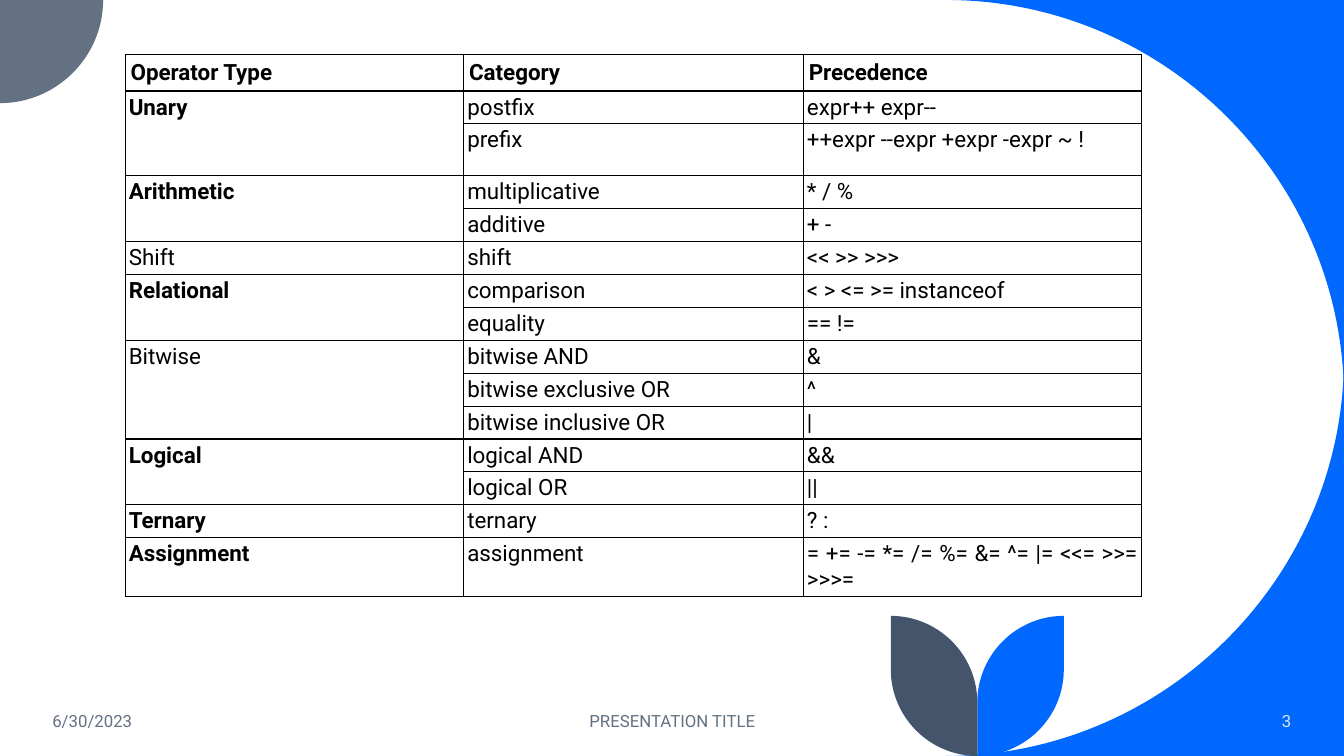
from dataclasses import dataclass

import lxml.etree
import pptx
import pptx.util
from pptx.dml.color import RGBColor
from pptx.enum.text import MSO_ANCHOR, PP_ALIGN
from pptx.oxml.ns import qn
from pptx.util import Cm


@dataclass(frozen=True)
class Theme:
    font: str = "Roboto"
    table_size: int = 16
    footer_size: int = 12
    ink: str = "000000"
    blue: str = "0068FF"
    slate: str = "637183"
    navy: str = "44546A"
    pale: str = "DAE5EF"


T = Theme()

# Content: operator type, bold or not, its (category, operators) rows
HEADER = ("Operator Type", "Category", "Precedence")
OPERATORS = [
    ("Unary", True, [
        ("postfix", "expr++\u00a0expr--"),
        ("prefix", "++expr\u00a0--expr\u00a0+expr\u00a0-expr\u00a0~ !")]),
    ("Arithmetic", True, [("multiplicative", "* / %"), ("additive", "+ -")]),
    ("Shift", False, [("shift", "<< >> >>>")]),
    ("Relational", True, [
        ("comparison", "< > <= >= instanceof"), ("equality", "== !=")]),
    ("Bitwise", False, [
        ("bitwise AND", "&"), ("bitwise exclusive OR", "^"),
        ("bitwise inclusive OR", "|")]),
    ("Logical", True, [("logical AND", "&&"), ("logical OR", "||")]),
    ("Ternary", True, [("ternary", "? :")]),
    ("Assignment", True, [
        ("assignment", "= += -= *= /= %= &= ^= |= <<= >>= >>>=")]),
]
# Footer: text, left, width, alignment, colour
FOOTER = [
    ("6/30/2023", 1.07, 7.62, PP_ALIGN.LEFT, T.slate),
    ("PRESENTATION TITLE", 11.23, 11.43, PP_ALIGN.CENTER, T.slate),
    ("3", 28.19, 4.6, PP_ALIGN.RIGHT, T.pale),
]

# Layout in centimetres, cell insets in points
W, H = 33.87, 19.05
COLUMNS = (8.53, 8.56, 8.51)
HEADER_H, ROW_H, TALL_H = 0.89, 0.76, 1.31
TALL_ROWS = {"prefix", "assignment"}
HEADER_INSET, BODY_INSET = 3.75, 2.46

prs = pptx.Presentation()
prs.slide_width, prs.slide_height = Cm(W), Cm(H)
s = prs.slides.add_slide(prs.slide_layouts[6])


def rounded(start, corner, end):
    """Two control points of a quarter ellipse, then its end point."""
    k = 0.55
    controls = [tuple(a + k * (c - a) for a, c in zip(p, corner))
                for p in (start, end)]
    return controls + [end]


def outline(start, steps, color):
    """Closed outline; a step is an end point or a (corner, end) curve."""
    points, curves, here = [], [], start
    for step in steps:
        if isinstance(step[0], tuple):
            curves.append(len(points))
            points += rounded(here, *step)
            here = step[1]
        else:
            points.append(step)
            here = step
    fb = s.shapes.build_freeform(Cm(start[0]), Cm(start[1]))
    fb.add_line_segments([(Cm(x), Cm(y)) for x, y in points], close=True)
    sp = fb.convert_to_shape()
    # Join each curve's three points into one Bezier segment
    lines = list(sp._element.iter(qn("a:lnTo")))
    for i in curves:
        bezier = lxml.etree.Element(qn("a:cubicBezTo"))
        lines[i].addprevious(bezier)
        for line in lines[i:i + 3]:
            bezier.append(line[0])
            line.getparent().remove(line)
    sp.shadow.inherit = False
    sp.fill.solid()
    sp.fill.fore_color.rgb = RGBColor.from_string(color)
    sp.line.fill.background()


def write(tf, text, size, color, align=None, bold=False):
    p = tf.paragraphs[0]
    p.alignment = align
    r = p.add_run()
    r.text = text
    r.font.name, r.font.size, r.font.bold = T.font, pptx.util.Pt(size), bold
    r.font.color.rgb = RGBColor.from_string(color)


# Corner decorations
R, CORNER_R = 10.03, 2.6
outline((W, 0), [(W - R, 0), ((W, 0), (W, R))], T.blue)
outline((W, H - R), [((W, H), (W - R, H)), (W, H)], T.blue)
outline((0, 0), [(CORNER_R, 0), ((CORNER_R, CORNER_R), (0, CORNER_R))],
        T.slate)

# Pair of leaves, mirrored about their shared stem
STEM, LEAF_W, LEAF_H = 24.63, 2.18, 3.53
leaf_top = H - LEAF_H
for side, color in ((LEAF_W, T.blue), (-LEAF_W, T.navy)):
    tip = STEM + side
    outline((tip, leaf_top),
            [(tip, H - LEAF_W), ((tip, H), (STEM, H)),
             (STEM, leaf_top + LEAF_W),
             ((STEM, leaf_top), (tip, leaf_top))], color)

# Operator table
rows = [pair for _, _, pairs in OPERATORS for pair in pairs]
heights = [HEADER_H] + [TALL_H if c in TALL_ROWS else ROW_H for c, _ in rows]
table = s.shapes.add_table(len(heights), len(COLUMNS), Cm(3.16), Cm(1.37),
                           Cm(sum(COLUMNS)), Cm(sum(heights))).table
table.first_row = table.horz_banding = False
for col, width in zip(table.columns, COLUMNS):
    col.width = Cm(width)
for row, height in zip(table.rows, heights):
    row.height = Cm(height)


def style(cell, inset):
    cell.margin_left = cell.margin_right = pptx.util.Pt(inset)
    cell.margin_top = cell.margin_bottom = pptx.util.Pt(inset)
    tcPr = cell._tc.get_or_add_tcPr()
    for side in ("a:lnL", "a:lnR", "a:lnT", "a:lnB"):
        ln = lxml.etree.SubElement(tcPr, qn(side), w=str(pptx.util.Pt(1)))
        fill = lxml.etree.SubElement(ln, qn("a:solidFill"))
        lxml.etree.SubElement(fill, qn("a:srgbClr"), val=T.ink)
    cell.fill.background()


def fill_cell(row, col, text, align=PP_ALIGN.JUSTIFY, bold=False):
    write(table.cell(row, col).text_frame, text, T.table_size, T.ink,
          align, bold)


for i in range(len(heights)):
    for j in range(len(COLUMNS)):
        style(table.cell(i, j), BODY_INSET if i else HEADER_INSET)
for j, text in enumerate(HEADER):
    fill_cell(0, j, text, PP_ALIGN.LEFT, True)
top = 1
for name, bold, pairs in OPERATORS:
    fill_cell(top, 0, name, bold=bold)
    if len(pairs) > 1:
        table.cell(top, 0).merge(table.cell(top + len(pairs) - 1, 0))
    for i, pair in enumerate(pairs, top):
        for j, text in enumerate(pair, 1):
            fill_cell(i, j, text)
    top += len(pairs)

# Footer
for text, left, width, align, color in FOOTER:
    tf = s.shapes.add_textbox(Cm(left), Cm(17.65), Cm(width),
                              Cm(1.02)).text_frame
    tf.word_wrap = True
    tf.vertical_anchor = MSO_ANCHOR.MIDDLE
    write(tf, text, T.footer_size, color, align)

prs.save("out.pptx")
